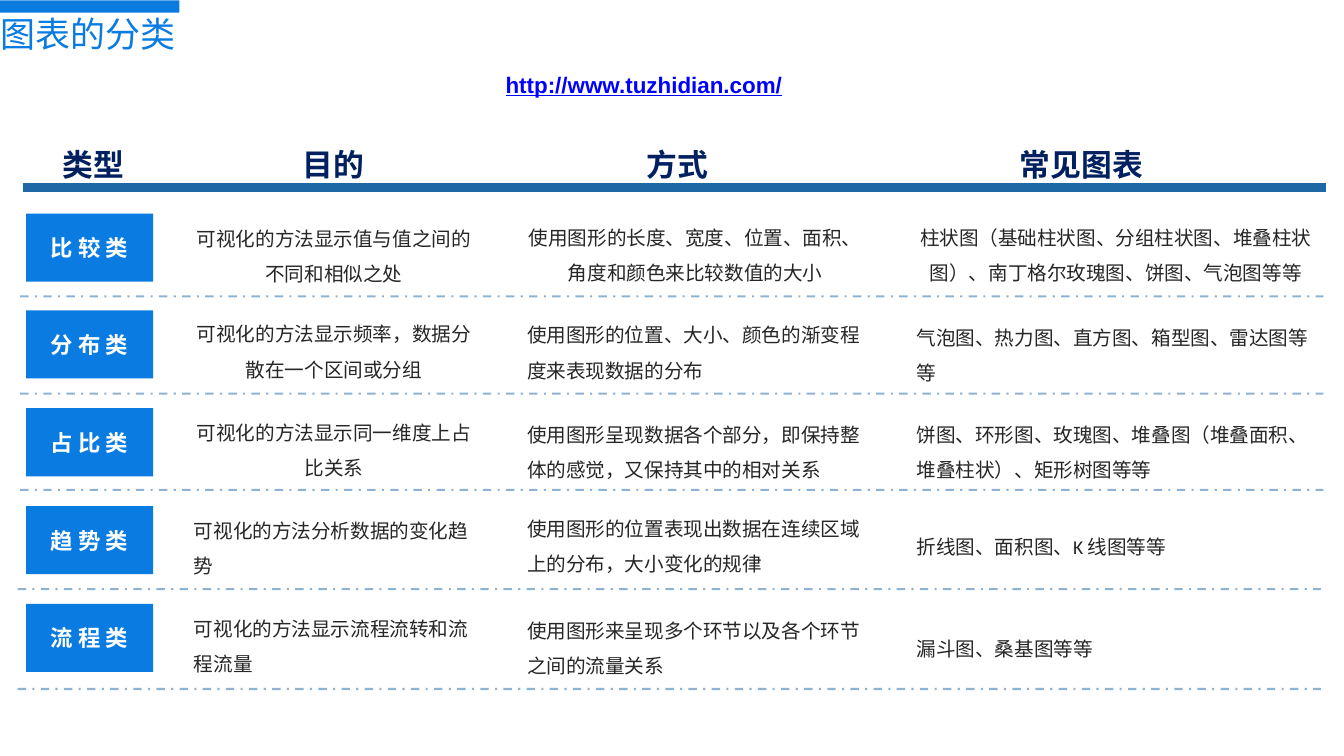
from lxml import etree
from pptx import Presentation
from pptx.dml.color import RGBColor
from pptx.enum.dml import MSO_LINE
from pptx.enum.shapes import MSO_CONNECTOR, MSO_SHAPE
from pptx.enum.text import MSO_ANCHOR, MSO_AUTO_SIZE, PP_ALIGN
from pptx.oxml.ns import qn
from pptx.util import Inches, Pt

BLUE = RGBColor(0x0A, 0x7B, 0xE0)
BAR = RGBColor(0x0C, 0x7B, 0xE0)
NAVY = RGBColor(0x00, 0x20, 0x60)
RULE = RGBColor(0x1F, 0x68, 0xA6)
GREY = RGBColor(0x26, 0x26, 0x26)
LINK = RGBColor(0x00, 0x00, 0xFF)
WHITE = RGBColor(0xFF, 0xFF, 0xFF)
MID, LEFT = PP_ALIGN.CENTER, PP_ALIGN.LEFT

HEADS = [("类型", 0), ("目的", 4.75), ("方式", 11.59), ("常见图表", 19.6)]
COLS = [(3.79, 5.67), (10.4, 6.79), (18.13, 8.02)]  # left, width

# label, label top, divider left, divider top, cells of (top, alignment, text)
ROWS = [
    ("比 较 类", 4.24, 0.4, 5.88, [
        (4.2, MID, "可视化的方法显示值与值之间的不同和相似之处"),
        (4.19, MID, "使用图形的长度、宽度、位置、面积、角度和颜色来比较数值的大小"),
        (4.19, MID, "柱状图（基础柱状图、分组柱状图、堆叠柱状图）、南丁格尔玫瑰图、饼图、气泡图等等")]),
    ("分 布 类", 6.16, 0.4, 7.81, [
        (6.1, MID, "可视化的方法显示频率，数据分散在一个区间或分组"),
        (6.12, LEFT, "使用图形的位置、大小、颜色的渐变程度来表现数据的分布"),
        (6.17, LEFT, "气泡图、热力图、直方图、箱型图、雷达图等等")]),
    ("占 比 类", 8.1, 0.4, 9.72, [
        (8.06, MID, "可视化的方法显示同一维度上占比关系"),
        (8.1, LEFT, "使用图形呈现数据各个部分，即保持整体的感觉，又保持其中的相对关系"),
        (8.1, LEFT, "饼图、环形图、玫瑰图、堆叠图（堆叠面积、堆叠柱状）、矩形树图等等")]),
    ("趋 势 类", 10.04, 0.35, 11.69, [
        (10, LEFT, "可视化的方法分析数据的变化趋势"),
        (9.96, LEFT, "使用图形的位置表现出数据在连续区域上的分布，大小变化的规律"),
        (10.31, LEFT, "折线图、面积图、K 线图等等")]),
    ("流 程 类", 11.98, 0.35, 13.67, [
        (11.94, LEFT, "可视化的方法显示流程流转和流程流量"),
        (11.98, LEFT, "使用图形来呈现多个环节以及各个环节之间的流量关系"),
        (12.34, LEFT, "漏斗图、桑基图等等")]),
]

prs = Presentation()
prs.slide_width, prs.slide_height = Inches(26.67), Inches(15)
shapes = prs.slides.add_slide(prs.slide_layouts[6]).shapes


def write(shape, text, size, color, font="Calibri", bold=False, line=None,
          align=MID, inset=0.06, anchor=MSO_ANCHOR.TOP, after=None,
          indent=None, under=None, grow=True):
    frame = shape.text_frame
    frame.word_wrap = True
    frame.auto_size = MSO_AUTO_SIZE.SHAPE_TO_FIT_TEXT if grow else MSO_AUTO_SIZE.NONE
    frame.vertical_anchor = anchor
    frame.margin_left = frame.margin_right = Inches(inset)
    frame.margin_top = frame.margin_bottom = Inches(inset)
    par = frame.paragraphs[0]
    par.alignment = align
    if line:
        par.line_spacing = line
    if after:
        par.space_after = Pt(after)
    if indent:
        props = par._p.get_or_add_pPr()
        props.set("marL", "0")
        props.set("indent", str(Inches(indent)))
    run = par.add_run()
    run.text = text
    face = run.font
    face.name, face.size, face.bold, face.underline = font, Pt(size), bold, under
    face.color.rgb = color


def box(left, top, wide, high):
    return shapes.add_textbox(Inches(left), Inches(top), Inches(wide), Inches(high))


def block(left, top, wide, high, color):
    rect = shapes.add_shape(MSO_SHAPE.RECTANGLE, Inches(left), Inches(top),
                            Inches(wide), Inches(high))
    rect.shadow.inherit = False
    rect.fill.solid()
    rect.fill.fore_color.rgb = color
    rect.line.fill.background()
    return rect


def rule(left, top, width, dash=None, alpha=None):
    """Draw a horizontal line across the table; alpha is a percentage."""
    line = shapes.add_connector(MSO_CONNECTOR.STRAIGHT, Inches(left), Inches(top),
                                Inches(left + 25.86), Inches(top))
    line.line.color.rgb = RULE
    line.line.width = Pt(width)
    if dash:
        line.line.dash_style = dash
    props = line._element.spPr
    if alpha:
        tint = props.find(".//" + qn("a:srgbClr"))
        etree.SubElement(tint, qn("a:alpha")).set("val", str(alpha * 1000))
    etree.SubElement(props, qn("a:effectLst"))


write(box(0.02, 0.24, 8.74, 1.05), "图表的分类", 50, BLUE, align=LEFT,
      inset=0, grow=False)
for text, left in HEADS:
    write(box(left, 2.09, 3.58, 1.36), text, 44, NAVY, font="Arial", bold=True,
          line=2.0, after=6, indent=0.14)
rule(0.45, 3.72, 12.5)

for label, top, start, end, cells in ROWS:
    write(block(0.52, top, 2.52, 1.35, BLUE), label, 32, WHITE, bold=True,
          inset=0.05, anchor=MSO_ANCHOR.MIDDLE, grow=False)
    rule(start, end, 3, MSO_LINE.DASH_DOT, 50)
    for (left, wide), (high, align, text) in zip(COLS, cells):
        write(box(left, high, wide, 0.75 if len(text) < 22 and left > 18 else 1.46),
              text, 28, GREY, line=1.5, align=align)

block(-0.02, 0.01, 3.58, 0.24, BAR)
write(box(7.93, 1.32, 9.7, 0.7), "http://www.tuzhidian.com/", 32, LINK,
      font="Arial", bold=True, under=True, inset=0.08, anchor=MSO_ANCHOR.MIDDLE)

prs.save("out.pptx")
